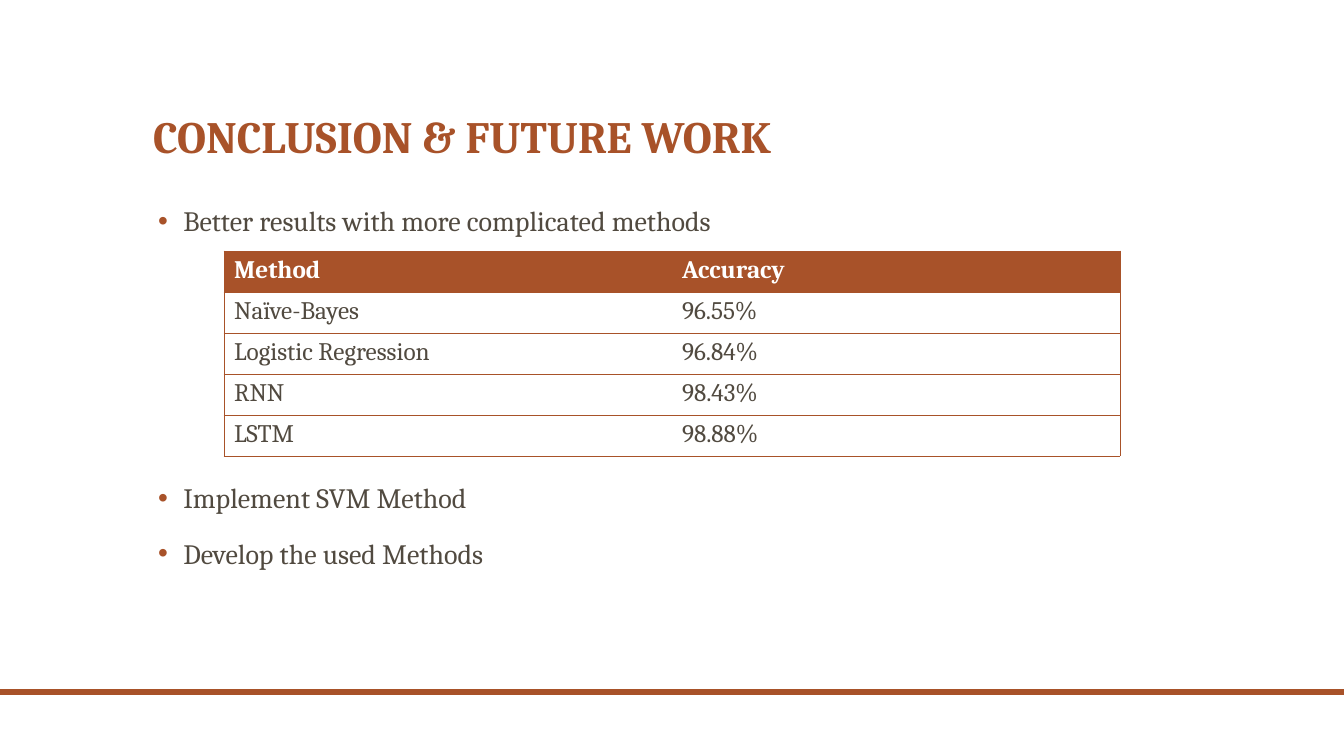
import lxml.etree
import pptx
import pptx.dml.color
import pptx.enum.shapes
import pptx.enum.text
import pptx.oxml.ns
import pptx.util

RUST = pptx.dml.color.RGBColor(0xA8, 0x52, 0x29)
BROWN = pptx.dml.color.RGBColor(0x51, 0x4A, 0x40)
WHITE = pptx.dml.color.RGBColor(0xFF, 0xFF, 0xFF)
FONT = "Cambria"
EMU_PER_PX = 914400 / 100.8
SLIDE_WIDTH, SLIDE_HEIGHT = 1344, 756

TITLE = "CONCLUSION & FUTURE WORK"
BULLETS = [
    ("Better results with more complicated methods", 0),
    ("Implement SVM Method", 176.5),
    ("Develop the used Methods", 18),
]
ACCURACY_ROWS = [
    ("Method", "Accuracy"),
    ("Naïve-Bayes", "96.55%"),
    ("Logistic Regression", "96.84%"),
    ("RNN", "98.43%"),
    ("LSTM", "98.88%"),
]


def px(length):
    return pptx.util.Emu(round(length * EMU_PER_PX))


def add_element(parent, tag, **attributes):
    return lxml.etree.SubElement(parent, pptx.oxml.ns.qn(tag), attributes)


def place(shape, box):
    shape.left, shape.top, shape.width, shape.height = map(px, box)


def add_run(paragraph, text, size, color, bold=False):
    run = paragraph.add_run()
    run.text = text
    run.font.name = FONT
    run.font.size = pptx.util.Pt(size)
    run.font.bold = bold
    run.font.color.rgb = color


def add_bullet(paragraph):
    properties = paragraph._p.get_or_add_pPr()
    properties.set("marL", str(pptx.util.Inches(0.3)))
    properties.set("indent", str(pptx.util.Inches(-0.25)))
    color = add_element(properties, "a:buClr")
    add_element(color, "a:srgbClr", val=str(RUST))
    add_element(properties, "a:buFont", typeface="Arial")
    add_element(properties, "a:buChar", char="•")


def add_border(cell, side, visible):
    properties = cell._tc.get_or_add_tcPr()
    line = add_element(properties, f"a:ln{side}", w=str(pptx.util.Pt(0.5)))
    if visible:
        fill = add_element(line, "a:solidFill")
        add_element(fill, "a:srgbClr", val=str(RUST))
    else:
        add_element(line, "a:noFill")


def add_footer_bar(slide, box):
    bar = slide.shapes.add_shape(
        pptx.enum.shapes.MSO_SHAPE.RECTANGLE, *map(px, box))
    bar.shadow.inherit = False
    bar.fill.solid()
    bar.fill.fore_color.rgb = RUST
    bar.line.fill.background()


def fill_title(slide, box):
    title = slide.shapes.title
    place(title, box)
    frame = title.text_frame
    frame.auto_size = pptx.enum.text.MSO_AUTO_SIZE.NONE
    frame.vertical_anchor = pptx.enum.text.MSO_ANCHOR.BOTTOM
    paragraph = frame.paragraphs[0]
    paragraph.alignment = pptx.enum.text.PP_ALIGN.LEFT
    paragraph.line_spacing = 0.9
    add_run(paragraph, TITLE, 32, RUST, bold=True)


def fill_bullets(slide, box):
    body = slide.placeholders[1]
    place(body, box)
    frame = body.text_frame
    frame.auto_size = pptx.enum.text.MSO_AUTO_SIZE.NONE
    for index, (text, space_before) in enumerate(BULLETS):
        paragraph = frame.add_paragraph() if index else frame.paragraphs[0]
        add_bullet(paragraph)
        paragraph.line_spacing = 0.9
        paragraph.space_before = pptx.util.Pt(space_before)
        add_run(paragraph, text, 20, BROWN)


def add_accuracy_table(slide, box):
    row_count, column_count = len(ACCURACY_ROWS), len(ACCURACY_ROWS[0])
    table = slide.shapes.add_table(
        row_count, column_count, *map(px, box)).table
    table.horz_banding = False
    for row_index, row in enumerate(ACCURACY_ROWS):
        header = row_index == 0
        for column_index, text in enumerate(row):
            cell = table.cell(row_index, column_index)
            add_border(cell, "L", column_index == 0)
            add_border(cell, "R", column_index == column_count - 1)
            add_border(cell, "T", True)
            add_border(cell, "B", True)
            if header:
                cell.fill.solid()
                cell.fill.fore_color.rgb = RUST
            else:
                cell.fill.background()
            add_run(cell.text_frame.paragraphs[0], text, 18,
                    WHITE if header else BROWN, bold=header)


def build_conclusion_slide(presentation):
    slide = presentation.slides.add_slide(presentation.slide_layouts[1])
    slide.background.fill.solid()
    slide.background.fill.fore_color.rgb = WHITE
    fill_title(slide, (143, 42, 1058, 126))
    fill_bullets(slide, (143, 202, 1058, 454))
    add_accuracy_table(slide, (224, 251, 896, 205))
    add_footer_bar(slide, (0, 689, SLIDE_WIDTH, 6))


def main():
    presentation = pptx.Presentation()
    presentation.slide_width = px(SLIDE_WIDTH)
    presentation.slide_height = px(SLIDE_HEIGHT)
    build_conclusion_slide(presentation)
    presentation.save("out.pptx")


if __name__ == "__main__":
    main()
